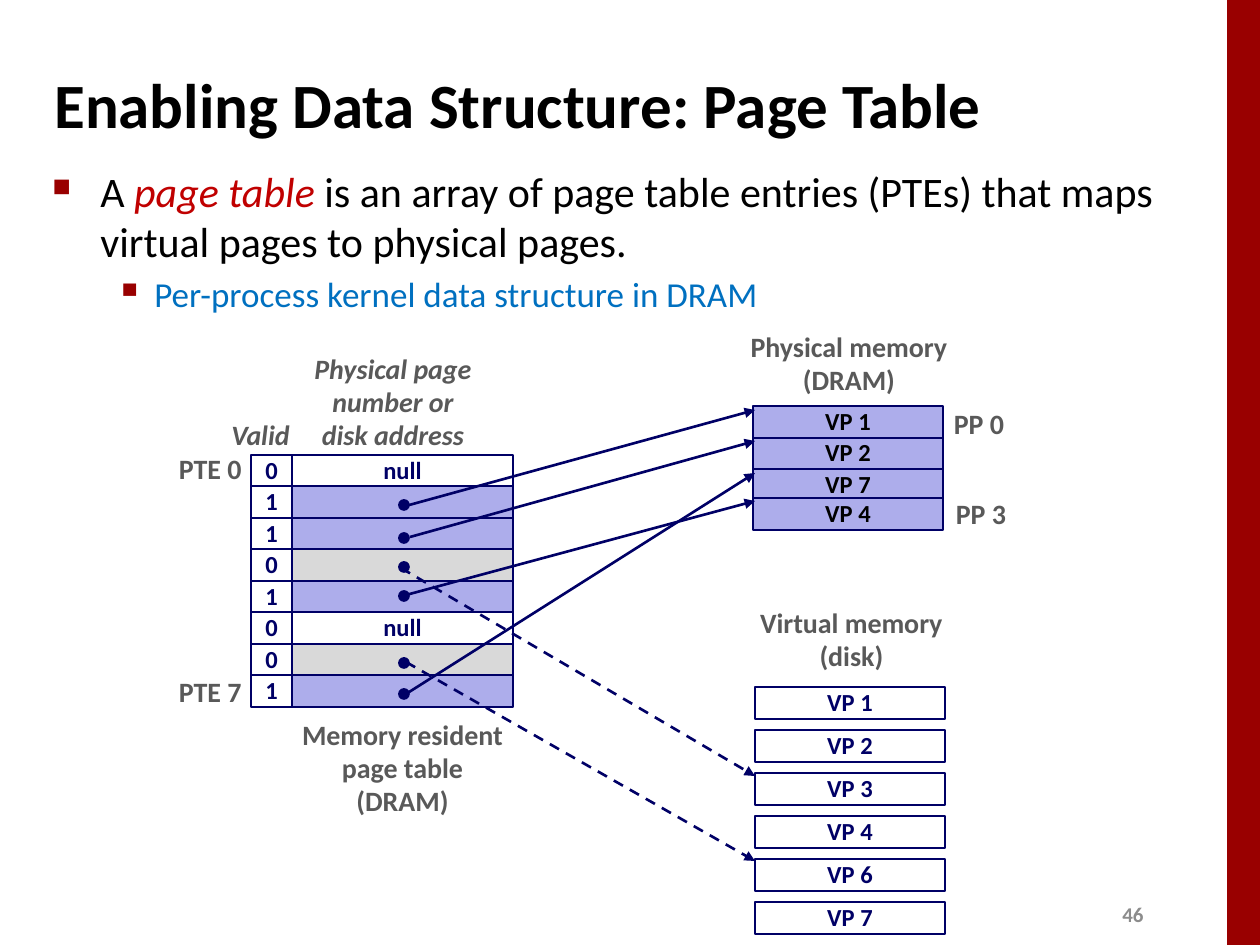
"""Builds a slide that explains how a page table maps virtual pages to physical pages."""
from lxml import etree
from pptx import Presentation, util as u
from pptx.dml.color import RGBColor
from pptx.enum import dml, shapes, text
from pptx.oxml import ns

PX = u.Inches(10) / 1260
FONT = "Calibri"
BLACK = RGBColor(0x00, 0x00, 0x00)
WHITE = RGBColor(0xFF, 0xFF, 0xFF)
NAVY = RGBColor(0x00, 0x00, 0x66)
LAVENDER = RGBColor(0xAD, 0xAD, 0xEB)
SILVER = RGBColor(0xD9, 0xD9, 0xD9)
GRAY = RGBColor(0x59, 0x59, 0x59)
PALE_GRAY = RGBColor(0x8C, 0x8C, 0x8C)
DARK_RED = RGBColor(0x99, 0x00, 0x00)
RED = RGBColor(0xC0, 0x00, 0x00)
BLUE = RGBColor(0x00, 0x70, 0xC0)
LEFT, CENTER, RIGHT = text.PP_ALIGN.LEFT, text.PP_ALIGN.CENTER, text.PP_ALIGN.RIGHT
TOP, MIDDLE = text.MSO_ANCHOR.TOP, text.MSO_ANCHOR.MIDDLE

deck = Presentation()
deck.slide_width, deck.slide_height = u.Inches(10), u.Inches(7.5)
page = deck.slides.add_slide(deck.slide_layouts[6])


def write(box, lines, size, color, align=CENTER, anchor=MIDDLE, italic=False, spacing=0.98):
    frame = box.text_frame
    frame.word_wrap = False
    frame.vertical_anchor = anchor
    frame.text = lines
    for para in frame.paragraphs:
        para.alignment = align
        para.line_spacing = spacing
        font = para.font
        font.name, font.size, font.bold, font.italic = FONT, u.Pt(size), True, italic
        font.color.rgb = color


def draw(kind, bounds, fill, line_width=1.5):
    shape = page.shapes.add_shape(kind, *(round(value * PX) for value in bounds))
    shape.shadow.inherit = False
    shape.fill.solid()
    shape.fill.fore_color.rgb = fill
    if line_width:
        shape.line.color.rgb = NAVY
        shape.line.width = u.Pt(line_width)
    else:
        shape.line.fill.background()
    return shape


RECT, OVAL = shapes.MSO_SHAPE.RECTANGLE, shapes.MSO_SHAPE.OVAL
draw(RECT, (1227, 0, 33, 945), DARK_RED, 0)

for bounds, lines, size, color, align, anchor, italic, spacing in (
    ((42, 49, 1142, 108), "Enabling Data Structure: Page Table", 36, BLACK, LEFT, MIDDLE, False, 1.0),
    ((1110, 895, 50, 38), "46", 12, PALE_GRAY, LEFT, MIDDLE, False, 1.0),
    ((286, 713, 233, 112), "Memory resident\npage table\n(DRAM)", 16, GRAY, CENTER, TOP, False, 0.98),
    ((737, 325, 224, 79), "Physical memory\n(DRAM)", 16, GRAY, CENTER, TOP, False, 0.98),
    ((745, 601, 213, 79), "Virtual memory\n(disk)", 16, GRAY, CENTER, TOP, False, 0.98),
    ((219, 413, 94, 47), "Valid", 16, GRAY, LEFT, TOP, True, 0.98),
    ((301, 347, 184, 112), "Physical page\nnumber or\ndisk address", 16, GRAY, CENTER, MIDDLE, True, 0.98),
    ((166, 446, 88, 47), "PTE 0", 16, GRAY, RIGHT, MIDDLE, False, 0.98),
    ((166, 669, 88, 47), "PTE 7", 16, GRAY, RIGHT, MIDDLE, False, 0.98),
    ((941, 401, 76, 47), "PP 0", 16, GRAY, CENTER, MIDDLE, False, 0.98),
    ((943, 491, 76, 47), "PP 3", 16, GRAY, CENTER, MIDDLE, False, 0.98),
):
    label = page.shapes.add_textbox(*(round(value * PX) for value in bounds))
    write(label, lines, size, color, align, anchor, italic, spacing)

body = page.shapes.add_textbox(*(round(value * PX) for value in (40, 159, 1145, 178)))
frame = body.text_frame
frame.word_wrap = True
bullets = (
    (48, 48, "■", 60, 24, 0, (("A ", BLACK, False), ("page table", RED, True),
     (" is an array of page table entries (PTEs) that maps virtual pages to physical pages.", BLACK, False))),
    (102, 39, "▪", 110, 20, 4, (("Per-process kernel data structure in DRAM", BLUE, False),)),
)
for index, (margin, hang, mark, scale, size, before, spans) in enumerate(bullets):
    para = frame.add_paragraph() if index else frame.paragraphs[0]
    para.level = index
    para.space_before = u.Pt(before)
    props = para._p.get_or_add_pPr()
    props.set("marL", str(round(margin * PX)))
    props.set("indent", str(round(-hang * PX)))
    bullet_color = etree.SubElement(props, ns.qn("a:buClr"))
    etree.SubElement(bullet_color, ns.qn("a:srgbClr"), val=str(DARK_RED))
    etree.SubElement(props, ns.qn("a:buSzPct"), val=str(scale * 1000))
    etree.SubElement(props, ns.qn("a:buChar"), char=mark)
    para.font.name, para.font.size = FONT, u.Pt(size)
    for words, color, italic in spans:
        span = para.add_run()
        span.text = words
        span.font.color.rgb = color
        span.font.italic = italic

entries = (("0", WHITE, "null"), ("1", LAVENDER, ""), ("1", LAVENDER, ""), ("0", SILVER, ""),
           ("1", LAVENDER, ""), ("0", WHITE, "null"), ("0", SILVER, ""), ("1", LAVENDER, ""))
for row, (valid, fill, address) in enumerate(entries):
    top = 455 + row * 63 // 2
    write(draw(RECT, (251, top, 41, 32), WHITE), valid, 14, NAVY)
    cell = draw(RECT, (292, top, 221, 32), fill)
    if address:
        write(cell, address, 14, NAVY)

for name, top in (("VP 7", 469), ("VP 4", 498), ("VP 2", 437), ("VP 1", 406)):
    write(draw(RECT, (753, top, 190, 32), LAVENDER), name, 14, BLACK)

for row, number in enumerate((1, 2, 3, 4, 6, 7)):
    write(draw(RECT, (755, 687 + 43 * row, 190, 32), WHITE), f"VP {number}", 14, NAVY)

pointers = ((500, 402, 507, 410, False), (533, 410, 537, 441, False), (562, 401, 568, 776, True),
            (591, 406, 595, 501, False), (658, 406, 662, 861, True), (689, 406, 694, 473, False))
for dot_top, start_x, start_y, end_y, on_disk in pointers:
    draw(OVAL, (399, dot_top, 10, 10), NAVY, 1)
    arrow = page.shapes.add_connector(
        shapes.MSO_CONNECTOR.STRAIGHT, *(round(value * PX) for value in (start_x, start_y, 755, end_y)))
    arrow.line.color.rgb = NAVY
    arrow.line.width = u.Pt(1.5)
    if on_disk:
        arrow.line.dash_style = dml.MSO_LINE.DASH
    etree.SubElement(arrow.line._get_or_add_ln(), ns.qn("a:tailEnd"), type="triangle")
    etree.SubElement(arrow._element.spPr, ns.qn("a:effectLst"))

deck.save("out.pptx")
